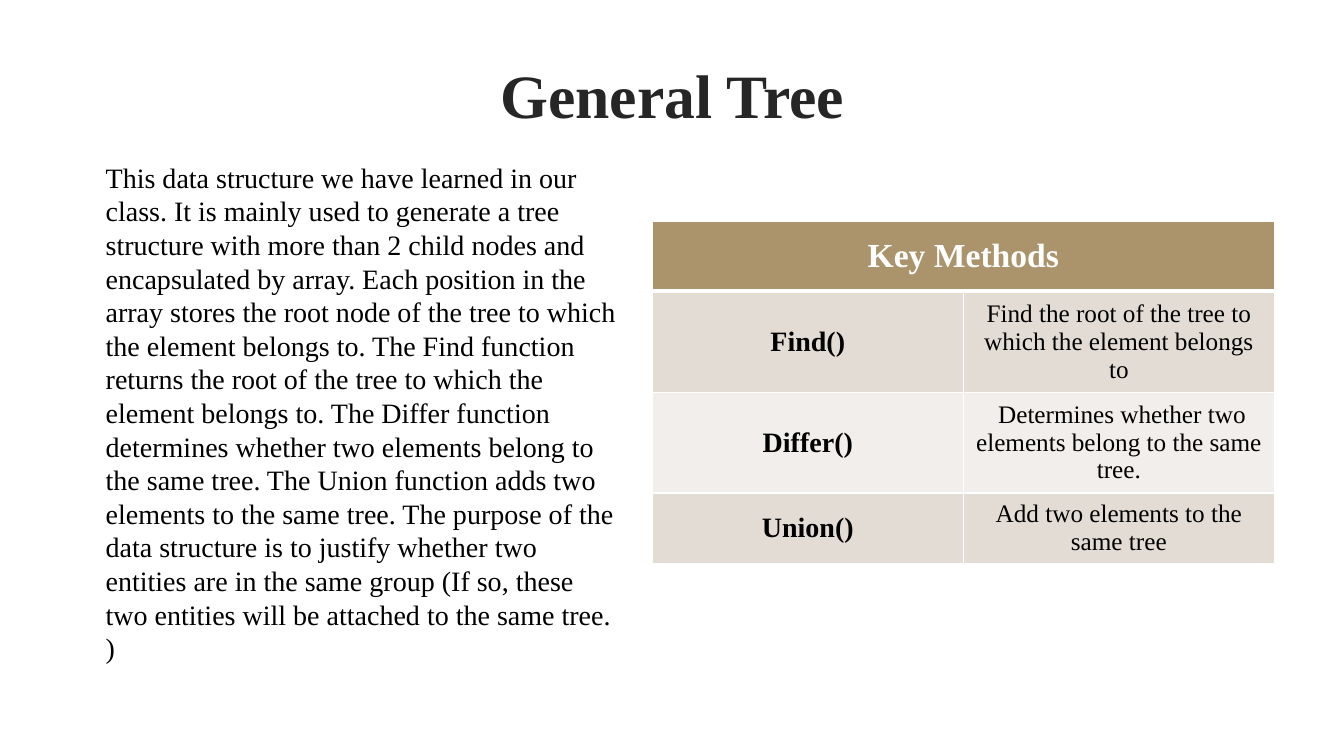
from dataclasses import dataclass

from lxml.etree import SubElement
from pptx import Presentation
from pptx.dml.color import RGBColor as Color
from pptx.enum.text import MSO_AUTO_SIZE as AutoSize, MSO_VERTICAL_ANCHOR as Anchor, PP_ALIGN as Align
from pptx.oxml.ns import qn
from pptx.slide import Slide
from pptx.table import _Cell as Cell
from pptx.text.text import _Paragraph as Paragraph, _Run as Run
from pptx.util import Inches, Pt


@dataclass(frozen=True)
class Theme:
    font: str = "Times New Roman"
    title_color: str = "262626"
    ink: str = "000000"
    white: str = "FFFFFF"
    header_fill: str = "AB946B"
    bands: tuple[str, str] = ("E2DCD4", "F1EEEB")
    title_size: float = 44
    header_size: float = 24
    body_size: float = 20
    detail_size: float = 18
    outline: float = 1.06
    rule: float = 1
    header_rule: float = 3


@dataclass(frozen=True)
class TextBlock:
    text: str
    left: float
    top: float
    width: float
    height: float
    size: float
    color: str
    bold: bool = False
    align: Align = Align.LEFT


@dataclass(frozen=True)
class Method:
    name: str
    purpose: str


THEME = Theme()

TITLE = TextBlock("General Tree", 3.11, 0.52, 7.12, 0.84, THEME.title_size, THEME.title_color, True, Align.CENTER)

DESCRIPTION = TextBlock(
    "This data structure we have learned in our class. It is mainly used to generate a tree structure "
    "with more than 2 child nodes and encapsulated by array. Each position in the array stores the root "
    "node of the tree to which the element belongs to. The Find function returns the root of the tree to "
    "which the element belongs to. The Differ function determines whether two elements belong to the same "
    "tree. The Union function adds two elements to the same tree. The purpose of the data structure is to "
    "justify whether two entities are in the same group (If so, these two entities will be attached to the "
    "same tree. )",
    0.95, 1.54, 5.27, 4.81, THEME.body_size, THEME.ink,
)

METHODS = [
    Method("Find()", "Find the root of the tree to which the element belongs to"),
    Method("Differ()", " Determines whether two elements belong to the same tree."),
    Method("Union()", "Add two elements to the same tree"),
]


def style_paragraph(para: Paragraph, size: float, color: str, bold: bool, align: Align) -> None:
    para.alignment = align
    para.font.name = THEME.font
    para.font.size = Pt(size)
    para.font.bold = bold
    para.font.color.rgb = Color.from_string(color)


def add_text(page: Slide, block: TextBlock) -> Run:
    box = page.shapes.add_textbox(*map(Inches, (block.left, block.top, block.width, block.height)))
    frame = box.text_frame
    frame.word_wrap = True
    frame.auto_size = AutoSize.SHAPE_TO_FIT_TEXT
    para = frame.paragraphs[0]
    span = para.add_run()
    span.text = block.text
    style_paragraph(para, block.size, block.color, block.bold, block.align)
    return span


def add_line(parent, tag: str, width: float, color: str) -> None:
    line = SubElement(parent, qn(tag), w=str(Pt(width)))
    SubElement(SubElement(line, qn("a:solidFill")), qn("a:srgbClr"), val=color)


def outline_text(span: Run) -> None:
    properties = span._r.get_or_add_rPr()
    add_line(properties, "a:ln", THEME.outline, THEME.white)


def fill_cell(cell: Cell, text: str, size: float, color: str, bold: bool, fill: str,
              top_rule: float, bottom_rule: float) -> None:
    cell.text = text
    cell.vertical_anchor = Anchor.MIDDLE
    style_paragraph(cell.text_frame.paragraphs[0], size, color, bold, Align.CENTER)
    properties = cell._tc.get_or_add_tcPr()
    rules = {"L": THEME.rule, "R": THEME.rule, "T": top_rule, "B": bottom_rule}
    for side, width in rules.items():
        add_line(properties, f"a:ln{side}", width, THEME.white)
    cell.fill.solid()
    cell.fill.fore_color.rgb = Color.from_string(fill)


def add_methods_table(page: Slide) -> None:
    frame = page.shapes.add_table(len(METHODS) + 1, 2, Inches(6.47), Inches(2.2), Inches(6.17), Inches(2.79))
    table = frame.table
    for row in table.rows:
        row.height = Inches(0.7)
    table.rows[0].height = Inches(0.69)
    for column in range(2):
        fill_cell(table.cell(0, column), "" if column else "Key Methods", THEME.header_size, THEME.white,
                  True, THEME.header_fill, THEME.rule, THEME.header_rule)
    table.cell(0, 0).merge(table.cell(0, 1))
    for index, method in enumerate(METHODS):
        fill = THEME.bands[index % 2]
        top_rule = THEME.rule if index else THEME.header_rule
        entries = [(method.name, THEME.body_size, True), (method.purpose, THEME.detail_size, False)]
        for column, (text, size, bold) in enumerate(entries):
            fill_cell(table.cell(index + 1, column), text, size, THEME.ink, bold, fill, top_rule, THEME.rule)


def main() -> None:
    deck = Presentation()
    deck.slide_width = Inches(13.33)
    deck.slide_height = Inches(7.5)
    page = deck.slides.add_slide(deck.slide_layouts[6])
    outline_text(add_text(page, TITLE))
    add_text(page, DESCRIPTION)
    add_methods_table(page)
    deck.save("out.pptx")


if __name__ == "__main__":
    main()
